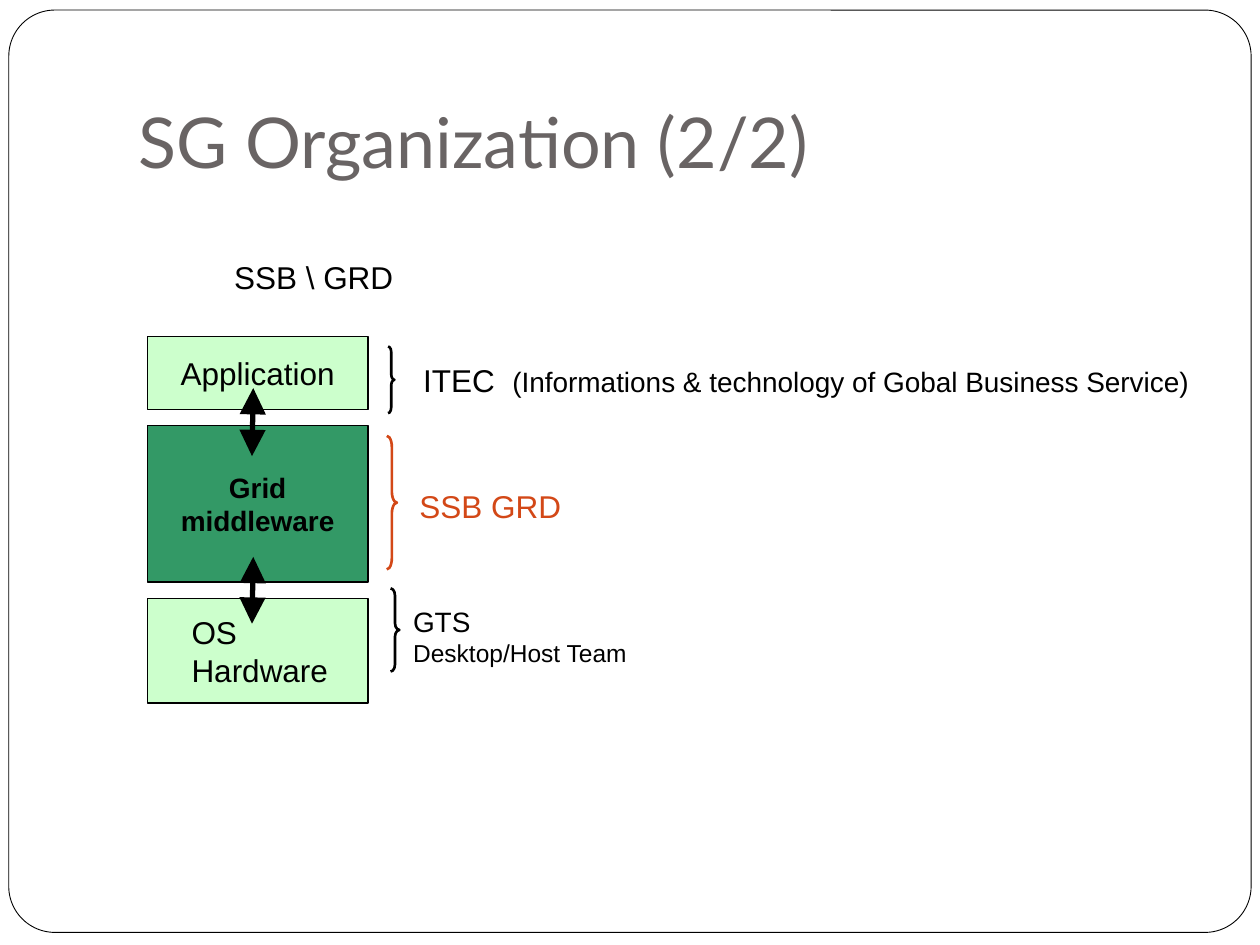
from lxml import etree
from pptx import Presentation
from pptx.dml.color import RGBColor
from pptx.enum import shapes, text
from pptx.oxml.ns import qn
from pptx.util import Inches, Pt

COLORS = {"black": "000000", "white": "FFFFFF", "title": "696464",
          "light": "CCFFCC", "green": "339966", "orange": "D34817"}
LEFT, CENTER = text.PP_ALIGN.LEFT, text.PP_ALIGN.CENTER
MIDDLE, TOP = text.MSO_ANCHOR.MIDDLE, text.MSO_ANCHOR.TOP

# Paragraphs are lists of (text, size) runs.
TITLE = [[("SG Organization (2/2)", 40)]]
LAYER_X, LAYER_W = 1.17, 1.75
# top, height, fill, paragraphs, format
LAYERS = [
    (2.67, 0.58, "light", [[("Application", 18)]], {"align": CENTER}),
    (3.38, 1.24, "green", [[("Grid", 16)], [("middleware", 16)]],
     {"align": CENTER, "bold": True}),
    (4.75, 0.83, "light", [[("OS", 18)], [("Hardware", 18)]], {"inset": 0.35}),
]
# left, top, width, height, color
BRACES = [
    (3.08, 2.75, 0.05, 0.53, "black"),
    (3.07, 3.46, 0.08, 1.06, "orange"),
    (3.1, 4.67, 0.07, 0.66, "black"),
]
# left, top, width, height, color, paragraphs
LABELS = [
    (1.76, 2, 1.53, 0.4, "black", [[("SSB \\ GRD", 18)]]),
    (3.26, 2.82, 6.32, 0.4, "black",
     [[("ITEC  ", 18),
       ("(Informations & technology of Gobal Business Service)", 16)]]),
    (3.23, 3.82, 1.59, 0.4, "orange", [[("SSB GRD", 18)]]),
    (3.18, 4.75, 1.99, 0.6, "black",
     [[("GTS", 16)], [("Desktop/Host Team", 14)]]),
]
ARROWS = [(3.62, 3.08), (4.95, 4.42)]  # bottom, top


def rgb(name):
    return RGBColor.from_string(COLORS[name])


def write(sp, paragraphs, color="black", font="Arial", bold=False,
          align=LEFT, anchor=TOP, inset=0.1, bottom=0.05, wrap=True):
    tf = sp.text_frame
    tf.word_wrap = wrap
    tf.auto_size = text.MSO_AUTO_SIZE.NONE
    tf.vertical_anchor = anchor
    tf.margin_left, tf.margin_right = Inches(inset), Inches(0.1)
    tf.margin_top, tf.margin_bottom = Inches(0.05), Inches(bottom)
    for i, runs in enumerate(paragraphs):
        p = tf.paragraphs[0] if i == 0 else tf.add_paragraph()
        p.alignment = align
        for words, size in runs:
            r = p.add_run()
            r.text = words
            r.font.name, r.font.size, r.font.bold = font, Pt(size), bold
            r.font.color.rgb = rgb(color)


def add_shape(s, kind, box, fill=None, line="black", width=0.75):
    sp = s.shapes.add_shape(kind, *map(Inches, box))
    sp.shadow.inherit = False
    if fill:
        sp.fill.solid()
        sp.fill.fore_color.rgb = rgb(fill)
    else:
        sp.fill.background()
    sp.line.color.rgb = rgb(line)
    sp.line.width = Pt(width)
    return sp


def add_double_arrow(s, bottom, top):
    cx = s.shapes.add_connector(shapes.MSO_CONNECTOR.STRAIGHT, Inches(2),
                                Inches(bottom), Inches(2.01), Inches(top))
    cx.line.color.rgb = rgb("black")
    cx.line.width = Pt(3)
    ln = cx.line._get_or_add_ln()
    for end in ("a:headEnd", "a:tailEnd"):
        etree.SubElement(ln, qn(end), type="triangle", w="lg", len="lg")
    etree.SubElement(cx._element.spPr, qn("a:effectLst"))


def main():
    prs = Presentation()
    prs.slide_width, prs.slide_height = Inches(10), Inches(7.5)
    s = prs.slides.add_slide(prs.slide_layouts[5])

    frame = add_shape(s, shapes.MSO_SHAPE.ROUNDED_RECTANGLE,
                      (0.07, 0.08, 9.86, 7.32), fill="white", width=0.5)
    frame.adjustments[0] = 0.05
    s.shapes._spTree.insert(2, frame._element)  # behind the title

    title = s.shapes.title
    title.left, title.top = Inches(1), Inches(0.3)
    title.width, title.height = Inches(8.5), Inches(1.25)
    write(title, TITLE, color="title", font="Lato",
          anchor=text.MSO_ANCHOR.BOTTOM, bottom=0.1)

    for y, h, fill, paragraphs, style in LAYERS:
        sp = add_shape(s, shapes.MSO_SHAPE.RECTANGLE,
                       (LAYER_X, y, LAYER_W, h), fill=fill)
        write(sp, paragraphs, anchor=MIDDLE, **style)

    for x, y, w, h, color in BRACES:
        sp = add_shape(s, shapes.MSO_SHAPE.RIGHT_BRACE, (x, y, w, h),
                       line=color, width=1.5)
        sp.adjustments[0] = h / w / 12  # curves take a twelfth of the height

    for x, y, w, h, color, paragraphs in LABELS:
        sp = s.shapes.add_textbox(*map(Inches, (x, y, w, h)))
        write(sp, paragraphs, color=color, wrap=w > 6)

    for bottom, top in ARROWS:
        add_double_arrow(s, bottom, top)

    prs.save("out.pptx")


if __name__ == "__main__":
    main()
